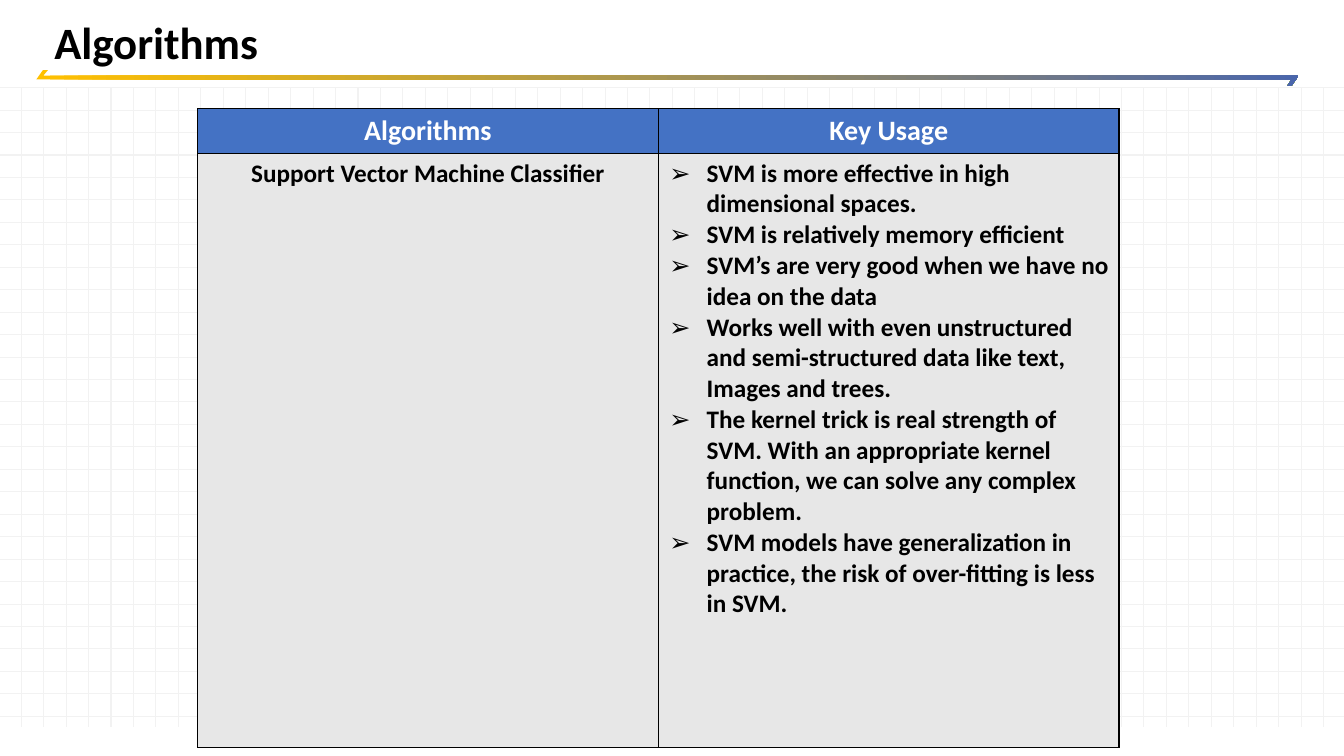
from lxml import etree
from pptx import Presentation
from pptx import util as u
from pptx.dml.color import RGBColor
from pptx.enum import shapes, text
from pptx.oxml import ns

WIDTH, HEIGHT = 13.33, 7.5
FONT = "Calibri"
BLACK = RGBColor(0x00, 0x00, 0x00)
WHITE = RGBColor(0xFF, 0xFF, 0xFF)
GRID = RGBColor(0xF2, 0xF2, 0xF2)
GOLD = RGBColor(0xFF, 0xC0, 0x00)
INDIGO = RGBColor(0x4A, 0x66, 0xAC)
BLUE = RGBColor(0x44, 0x72, 0xC4)
GRAY = RGBColor(0xE7, 0xE7, 0xE7)

HEADERS = ["Algorithms", "Key Usage"]
ALGORITHM = "Support Vector Machine Classifier"
USAGES = [
    "SVM is more effective in high dimensional spaces.",
    "SVM is relatively memory efficient",
    "SVM’s are very good when we have no idea on the data",
    "Works well with even unstructured and semi-structured data like text, Images and trees.",
    "The kernel trick is real strength of SVM. With an appropriate kernel function, "
    "we can solve any complex problem.",
    "SVM models have generalization in practice, the risk of over-fitting is less in SVM.",
]


def add(parent, tag, **attrs):
    """Append a DrawingML child element and return it."""
    return etree.SubElement(parent, ns.qn(tag), attrs)


def style_runs(p, size, color):
    """Give every run of a paragraph the bold slide font."""
    for r in p.runs:
        r.font.name, r.font.size, r.font.bold = FONT, u.Pt(size), True
        r.font.color.rgb = color


def grid_line(s, x1, y1, x2, y2):
    """Draw one pale line of the background grid."""
    line = s.shapes.add_connector(
        shapes.MSO_CONNECTOR.STRAIGHT, *(u.Inches(v) for v in (x1, y1, x2, y2)))
    line.line.color.rgb = GRID
    line.line.width = u.Pt(0.75)
    add(line._element.spPr, "a:effectLst")


def background_grid(s, left, top, width, height):
    """Rule the box with 59 vertical and 29 horizontal lines."""
    step = width / 59.85
    for col in range(59):
        x = left + 0.21 + col * step
        grid_line(s, x, top, x, top + height)
    for row in range(29):
        y = top + row * step
        grid_line(s, left + width, y, left, y)


def underline(s, left, top, width, height):
    """Draw the gradient rule with a slanted tip at each end."""
    tip, bar_top, bar_bottom = 0.07, 0.38 * height, 0.62 * height
    outline = [(tip, 0), (0.12, 0), (tip, bar_top), (width, bar_top),
               (width - tip, height), (width - 0.11, height),
               (width - tip, bar_bottom), (0, bar_bottom)]
    points = [(u.Inches(left + x), u.Inches(top + y)) for x, y in outline]
    builder = s.shapes.build_freeform(*points[0])
    builder.add_line_segments(points[1:], close=True)
    sp = builder.convert_to_shape()
    sp.shadow.inherit = False
    sp.line.fill.background()
    sp.fill.gradient()
    sp.fill.gradient_angle = 0
    for stop, color in zip(sp.fill.gradient_stops, (GOLD, INDIGO)):
        stop.color.rgb = color


def title(s, left, top, width, height, words):
    """Place the slide title at the bottom of its box."""
    box = s.shapes.add_textbox(*(u.Inches(v) for v in (left, top, width, height)))
    tf = box.text_frame
    tf.word_wrap = True
    tf.vertical_anchor = text.MSO_ANCHOR.BOTTOM
    tf.text = words
    p = tf.paragraphs[0]
    p.line_spacing = 0.9
    style_runs(p, 32, BLACK)


def fill_cell(cell, lines, size, color, back, bulleted=False):
    """Write, border and fill one table cell."""
    tc_pr = cell._tc.get_or_add_tcPr()
    for side in ("a:lnL", "a:lnR", "a:lnT", "a:lnB"):
        edge = add(tc_pr, side, w=str(u.Pt(0.96)))
        add(add(edge, "a:solidFill"), "a:srgbClr", val=str(BLACK))
    cell.fill.solid()
    cell.fill.fore_color.rgb = back
    cell.text_frame.text = "\n".join(lines)
    for p in cell.text_frame.paragraphs:
        style_runs(p, size, color)
        if bulleted:
            bullet(p)
        else:
            p.alignment = text.PP_ALIGN.CENTER


def bullet(p):
    """Give a paragraph a hanging arrowhead bullet."""
    p_pr = p._p.get_or_add_pPr()
    p_pr.set("marL", str(u.Inches(0.38)))
    p_pr.set("indent", str(u.Inches(-0.37)))
    add(add(p_pr, "a:buClr"), "a:srgbClr", val=str(BLACK))
    add(p_pr, "a:buFont", typeface="Arial")
    add(p_pr, "a:buChar", char="➢")


def usage_table(s, left, top, width, height):
    """Build the two-column table of algorithm and key usage."""
    frame = s.shapes.add_table(2, 2, *(u.Inches(v) for v in (left, top, width, height)))
    table = frame.table
    table.first_row = table.horz_banding = False
    header = 0.44
    table.rows[0].height = u.Inches(header)
    table.rows[1].height = u.Inches(height - header)
    for col, words in enumerate(HEADERS):
        fill_cell(table.cell(0, col), [words], 20, WHITE, BLUE)
    fill_cell(table.cell(1, 0), [ALGORITHM], 18, BLACK, GRAY)
    fill_cell(table.cell(1, 1), USAGES, 18, BLACK, GRAY, bulleted=True)


def main():
    """Assemble and save the slide."""
    prs = Presentation()
    prs.slide_width, prs.slide_height = u.Inches(WIDTH), u.Inches(HEIGHT)
    s = prs.slides.add_slide(prs.slide_layouts[6])
    background_grid(s, 0, 0.87, WIDTH, 6.34)
    underline(s, 0.36, 0.69, 12.52, 0.16)
    title(s, 0.44, 0, 12.44, 0.74, "Algorithms")
    usage_table(s, 1.96, 1.08, 9.14, 6.34)
    prs.save("out.pptx")


if __name__ == "__main__":
    main()
